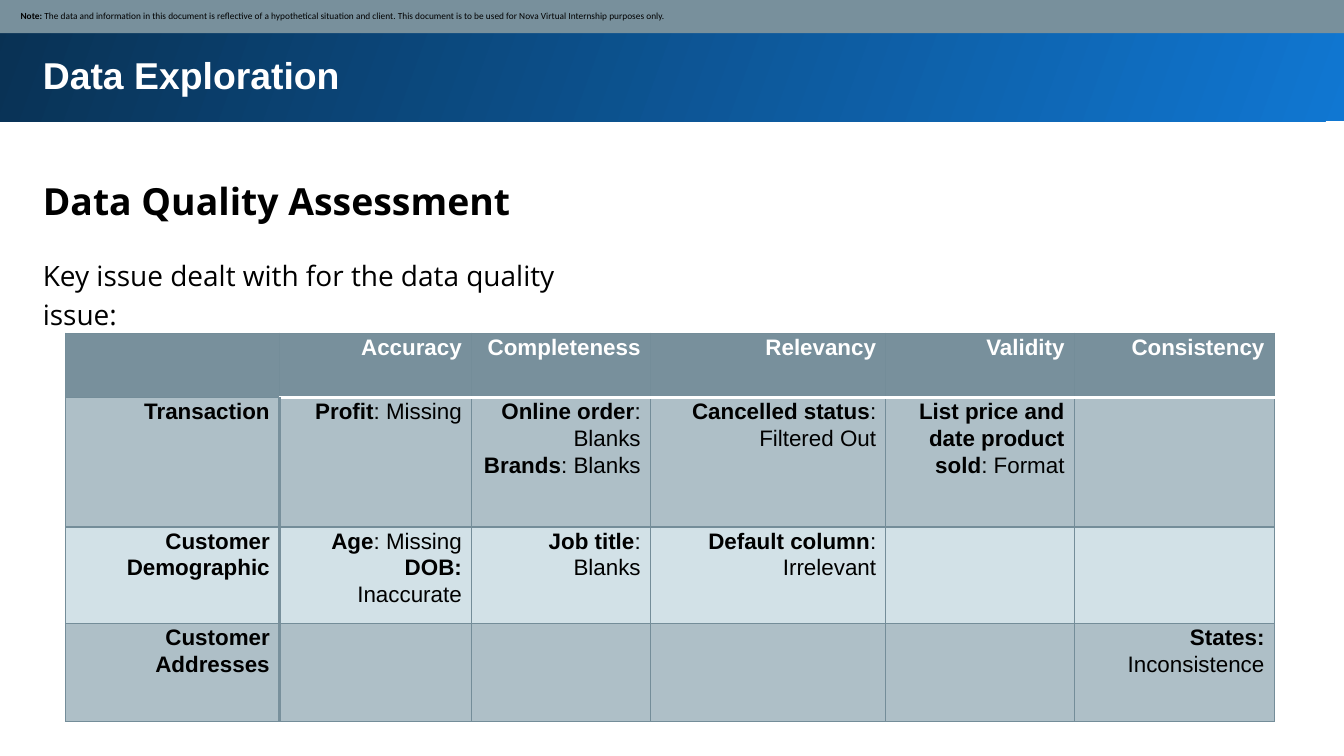
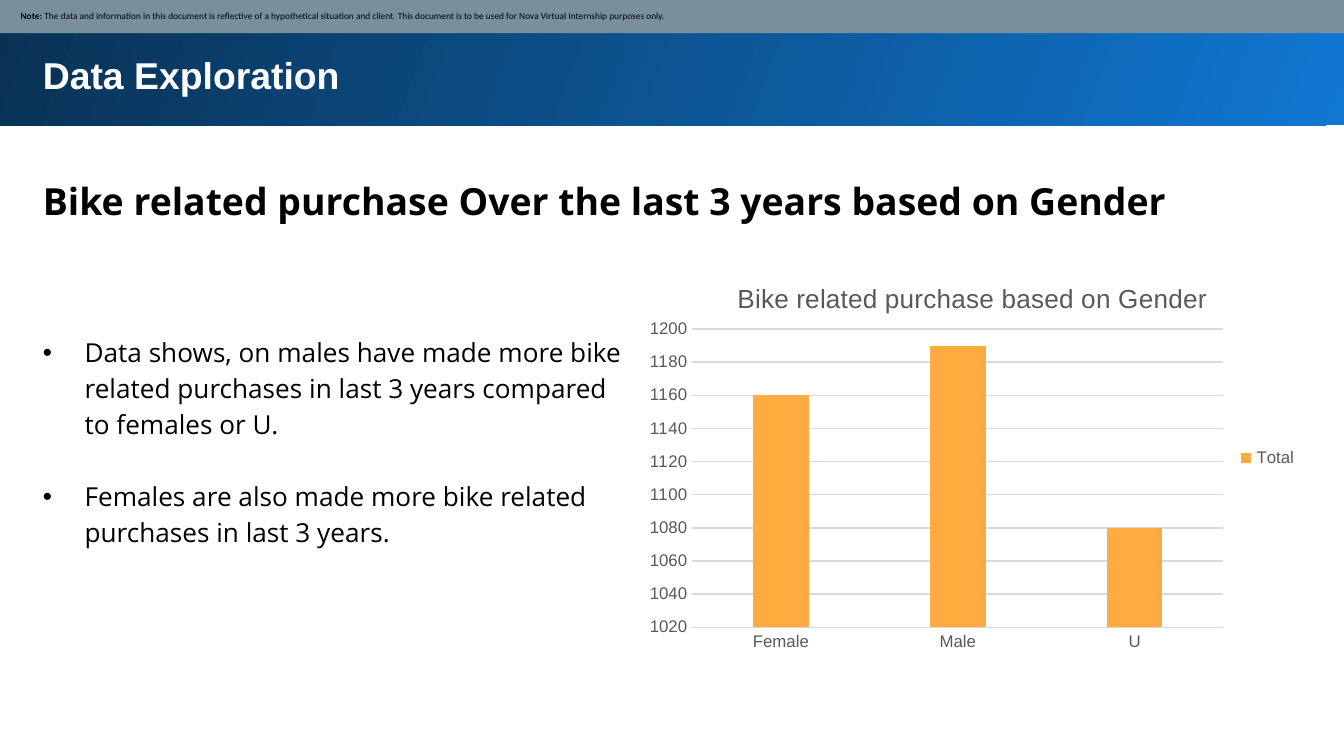
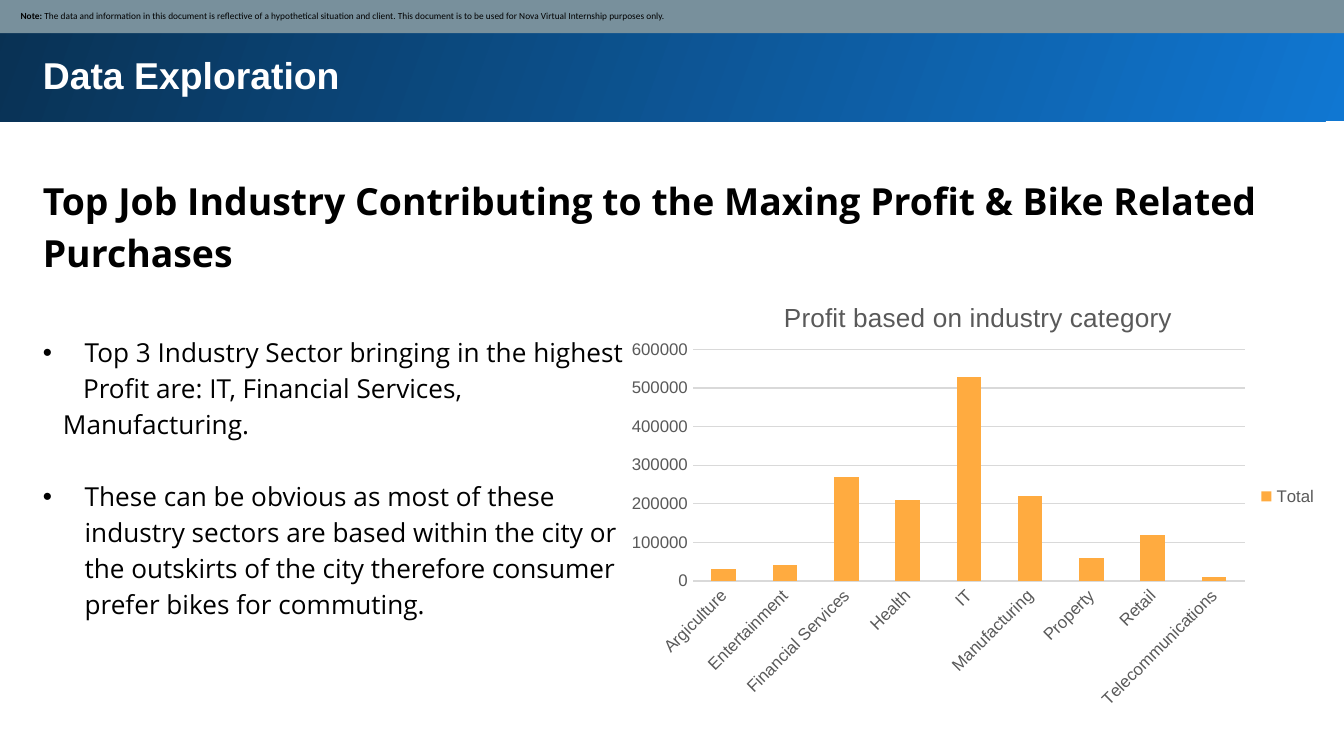
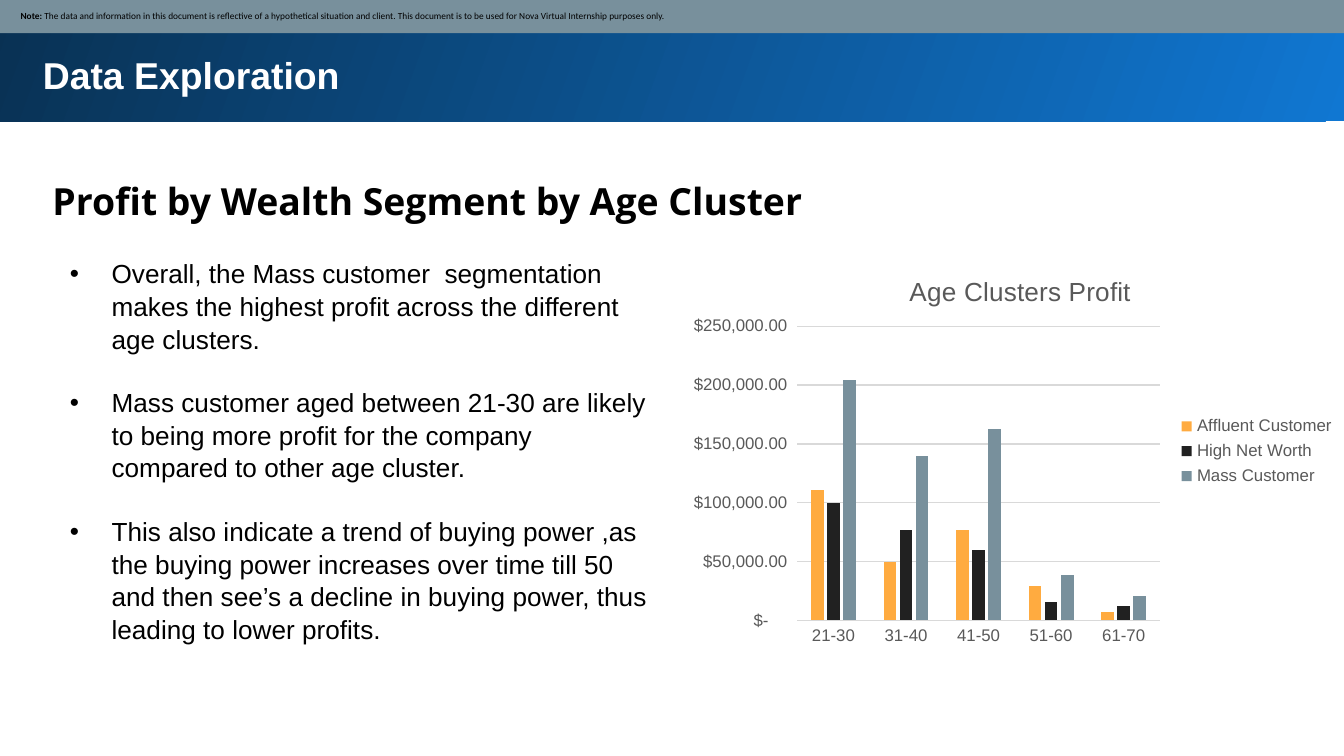
import dataclasses

import lxml.etree
import pptx
import pptx.chart.data
import pptx.dml.color
import pptx.enum.chart
import pptx.enum.shapes
import pptx.enum.text
import pptx.oxml
import pptx.oxml.ns
import pptx.util

Cm = pptx.util.Cm
Pt = pptx.util.Pt
qn = pptx.oxml.ns.qn


@dataclasses.dataclass(frozen=True)
class Theme:
    black: str = "000000"
    white: str = "FFFFFF"
    slate: str = "78909C"
    slate_line: str = "748D99"
    row_dark: str = "AEBFC7"
    row_light: str = "D2E1E7"
    band_start: str = "1077D2"
    band_end: str = "093153"
    orange: str = "FFAB40"
    charcoal: str = "212121"
    chart_text: str = "595959"
    chart_line: str = "D9D9D9"
    sans: str = "Arial"
    display: str = "Open Sans"
    small: str = "Calibri"
    title_size: float = 20
    intro_size: float = 15
    body_size: float = 14
    table_size: float = 12
    axis_size: float = 9
    note_size: float = 5


@dataclasses.dataclass(frozen=True)
class Box:
    """A rectangle in centimetres."""
    left: float
    top: float
    width: float
    height: float

    def lengths(self):
        return Cm(self.left), Cm(self.top), Cm(self.width), Cm(self.height)


THEME = Theme()
SLIDE = Box(0, 0, 25.4, 14.29)
BAND = Box(-0.05, -0.05, 25.53, 2.34)
NOTE = Box(-0.03, -0.03, 25.48, 0.66)
TITLE = Box(0.56, 0.74, 23.8, 1.3)
HEADING = Box(0.56, 3, 23.8, 1.42)
NOTE_TEXT = (
    "Note:| The data and information in this document is reflective of a hypothetical "
    "situation and client. This document is to be used for Nova Virtual Internship purposes only."
)
DOLLARS = r'_-[$$-409]* #,##0.00_ ;_-[$$-409]* \-#,##0.00\ ;_-[$$-409]* "-"??_ ;_-@_ '
PLAIN_NUMBER = "General"

ISSUE_COLUMNS = [4.04, 3.63, 3.38, 4.45, 3.56, 3.78]
ISSUE_ROWS = [1.22, 2.44, 1.83, 1.85]
ISSUES = [
    ["", "Accuracy", "Completeness", "Relevancy", "Validity", "Consistency"],
    ["Transaction", "Profit|: Missing", "Online order|:\n|Blanks\nBrands|: Blanks",
     "Cancelled status|: Filtered Out", "List price and date product sold|: Format", ""],
    ["Customer Demographic", "Age|: Missing\nDOB:\n|Inaccurate", "Job title|:\n|Blanks",
     "Default column|: Irrelevant", "", ""],
    ["Customer Addresses", "", "", "", "", "States:\n|Inconsistence"],
]


def rgb(color):
    return pptx.dml.color.RGBColor.from_string(color)


def style_font(font, size, color, name=THEME.sans, bold=False):
    font.size, font.name, font.bold = Pt(size), name, bold
    font.color.rgb = rgb(color)


def write_text(frame, lines, size=THEME.body_size, color=THEME.black, name=THEME.sans,
               bold=False, spacing=None, align=pptx.enum.text.PP_ALIGN.LEFT):
    """Write one paragraph a line; in a line, 'lead|rest' sets the lead in bold."""
    frame.word_wrap = True
    for index, line in enumerate(lines):
        paragraph = frame.add_paragraph() if index else frame.paragraphs[0]
        paragraph.alignment = align
        paragraph.line_spacing = spacing
        lead, bar, rest = line.partition("|")
        for text, is_bold in ((lead, bold or bool(bar)), (rest, False)):
            if text:
                run = paragraph.add_run()
                run.text = text
                style_font(run.font, size, color, name, is_bold)


def set_margins(target, horizontal, vertical):
    target.margin_left = target.margin_right = Cm(horizontal)
    target.margin_top = target.margin_bottom = Cm(vertical)


def add_text(slide, box, lines, margin=0.25, **text_format):
    frame = slide.shapes.add_textbox(*box.lengths()).text_frame
    set_margins(frame, margin, margin)
    write_text(frame, lines, **text_format)
    return frame


def indent(paragraph, left, first=0):
    properties = paragraph._p.get_or_add_pPr()
    properties.set("marL", str(Cm(left)))
    properties.set("indent", str(Cm(first)))
    return properties


def add_rectangle(slide, box):
    shape = slide.shapes.add_shape(pptx.enum.shapes.MSO_SHAPE.RECTANGLE, *box.lengths())
    shape.shadow.inherit = False
    shape.line.fill.background()
    return shape


def add_band(slide, box):
    fill = add_rectangle(slide, box).fill
    fill.gradient()
    fill.gradient_angle = 160
    for stop, color in zip(fill.gradient_stops, (THEME.band_start, THEME.band_end)):
        stop.color.rgb = rgb(color)


def add_note(slide, box):
    shape = add_rectangle(slide, box)
    shape.fill.solid()
    shape.fill.fore_color.rgb = rgb(THEME.slate)
    frame = shape.text_frame
    frame.vertical_anchor = pptx.enum.text.MSO_ANCHOR.MIDDLE
    set_margins(frame, 0.42, 0.13)
    write_text(frame, [NOTE_TEXT], size=THEME.note_size, name=THEME.small)


def add_exploration_slide(presentation, heading, band_shift=0, heading_indent=0):
    slide = presentation.slides.add_slide(presentation.slide_layouts[6])
    add_band(slide, dataclasses.replace(BAND, top=BAND.top + band_shift))
    add_text(slide, TITLE, ["Data Exploration"], size=THEME.title_size,
             color=THEME.white, bold=True)
    frame = add_text(slide, HEADING, [heading], size=THEME.title_size,
                     name=THEME.display, bold=True, spacing=1.15)
    indent(frame.paragraphs[0], heading_indent)
    add_note(slide, NOTE)
    return slide


def add_bullets(slide, box, lines, gap, continuations=(), **text_format):
    """Bullet the lines, except those whose index is a continuation of the one before."""
    frame = add_text(slide, box, lines, **text_format)
    for index, paragraph in enumerate(frame.paragraphs):
        if index in continuations:
            indent(paragraph, 0.38, 0.38)
            continue
        properties = indent(paragraph, 0.79, -0.79)
        if index:
            paragraph.space_before = Pt(gap)
        bullet_font = lxml.etree.SubElement(properties, qn("a:buFont"))
        bullet_font.set("typeface", THEME.sans)
        lxml.etree.SubElement(properties, qn("a:buChar")).set("char", "•")


def add_border(cell, side, color, width):
    line = lxml.etree.SubElement(cell._tc.get_or_add_tcPr(), qn("a:ln" + side))
    line.set("w", str(Pt(width)))
    fill = lxml.etree.SubElement(line, qn("a:solidFill"))
    lxml.etree.SubElement(fill, qn("a:srgbClr")).set("val", color)


def add_cell_borders(cell, row, column):
    thin = (THEME.slate_line, 0.75)
    label_edge = (THEME.slate, 2)
    header_edge = (THEME.white, 2)
    add_border(cell, "L", *(label_edge if row and column == 1 else thin))
    add_border(cell, "R", *(label_edge if row and column == 0 else thin))
    add_border(cell, "T", *(header_edge if row == 1 and column else thin))
    add_border(cell, "B", *(header_edge if row == 0 and column else thin))


def add_issue_table(slide, left, top):
    box = Box(left, top, sum(ISSUE_COLUMNS), sum(ISSUE_ROWS))
    table = slide.shapes.add_table(len(ISSUE_ROWS), len(ISSUE_COLUMNS), *box.lengths()).table
    table.first_row = table.horz_banding = False
    for column, width in zip(table.columns, ISSUE_COLUMNS):
        column.width = Cm(width)
    for row_index, (row, height) in enumerate(zip(table.rows, ISSUE_ROWS)):
        row.height = Cm(height)
        row_fill = (THEME.row_dark if row_index % 2 else THEME.row_light) if row_index else THEME.slate
        for column_index, cell in enumerate(row.cells):
            set_margins(cell, 0.18, 0)
            add_cell_borders(cell, row_index, column_index)
            cell.fill.solid()
            cell.fill.fore_color.rgb = rgb(row_fill)
            for line in ISSUES[row_index][column_index].split("\n"):
                is_first = not cell.text_frame.text
                if is_first:
                    write_text(cell.text_frame, ISSUES[row_index][column_index].split("\n"),
                               size=THEME.table_size, spacing=1.07,
                               color=THEME.black if row_index else THEME.white,
                               bold=True, align=pptx.enum.text.PP_ALIGN.RIGHT)


def set_layout(parent, position, **fractions):
    """Place a chart part by fractions of the chart's width and height."""
    for layout in parent.findall(qn("c:layout")):
        parent.remove(layout)
    layout = pptx.oxml.parse_xml(
        '<c:layout xmlns:c="http://schemas.openxmlformats.org/drawingml/2006/chart"/>')
    manual = lxml.etree.SubElement(layout, qn("c:manualLayout"))
    if "w" in fractions:
        lxml.etree.SubElement(manual, qn("c:layoutTarget")).set("val", "inner")
    for axis in "xy":
        lxml.etree.SubElement(manual, qn(f"c:{axis}Mode")).set("val", "edge")
    for key, value in fractions.items():
        lxml.etree.SubElement(manual, qn("c:" + key)).set("val", str(value))
    parent.insert(position, layout)


def style_axes(chart, scale, number_format, label_rotation):
    for axis in (chart.category_axis, chart.value_axis):
        axis.major_tick_mark = axis.minor_tick_mark = pptx.enum.chart.XL_TICK_MARK.NONE
        style_font(axis.tick_labels.font, THEME.axis_size, THEME.chart_text)
    values = chart.value_axis
    values.minimum_scale, values.maximum_scale, values.major_unit = scale
    values.tick_labels.number_format = number_format
    values.tick_labels.number_format_is_linked = False
    values.format.line.fill.background()
    values.has_major_gridlines = True
    for line in (chart.category_axis.format.line, values.major_gridlines.format.line):
        line.color.rgb = rgb(THEME.chart_line)
        line.width = Pt(0.75)
    if label_rotation:
        body = chart.element.xpath(".//c:catAx/c:txPr/a:bodyPr")[0]
        body.set("rot", str(label_rotation * 60000))


def add_column_chart(slide, box, title, title_left, plot_area, categories, series, scale,
                     gap=219, overlap=-27, number_format=PLAIN_NUMBER, label_rotation=0):
    """Add clustered columns; series holds (name, colour, values) and scale (low, high, step)."""
    data = pptx.chart.data.CategoryChartData(number_format=number_format)
    data.categories = categories
    for name, _, values in series:
        data.add_series(name, values)
    chart = slide.shapes.add_chart(
        pptx.enum.chart.XL_CHART_TYPE.COLUMN_CLUSTERED, *box.lengths(), data).chart
    style_font(chart.font, 10, THEME.black)

    write_text(chart.chart_title.text_frame, [title], color=THEME.chart_text,
               align=pptx.enum.text.PP_ALIGN.CENTER)
    set_layout(chart.element.xpath("c:chart/c:title")[0], 1, x=title_left, y=0.05)
    set_layout(chart.element.xpath("c:chart/c:plotArea")[0], 0, **plot_area)

    chart.has_legend = True
    chart.legend.position = pptx.enum.chart.XL_LEGEND_POSITION.RIGHT
    chart.legend.include_in_layout = False
    style_font(chart.legend.font, THEME.axis_size, THEME.chart_text)

    plot = chart.plots[0]
    plot.vary_by_categories = False
    plot.gap_width, plot.overlap = gap, overlap
    for drawn, (_, color, _) in zip(plot.series, series):
        drawn.format.fill.solid()
        drawn.format.fill.fore_color.rgb = rgb(color)
    style_axes(chart, scale, number_format, label_rotation)


def build_quality_slide(presentation):
    slide = add_exploration_slide(presentation, "Data Quality Assessment")
    add_text(slide, Box(0.56, 4.55, 11.48, 1.22),
             ["Key issue dealt with for the data quality issue:"],
             size=THEME.intro_size, name=THEME.display, spacing=1.15)
    add_issue_table(slide, 1.24, 6.3)


def build_gender_slide(presentation):
    slide = add_exploration_slide(
        presentation, "Bike related purchase Over the last 3 years based on Gender",
        band_shift=0.08)
    add_bullets(slide, Box(0.56, 6.02, 11.48, 4.65), [
        "Data shows, on males have made more bike related purchases in last 3 years "
        "compared to females or U.",
        "Females are also made more bike related purchases in last 3 years.",
    ], gap=19.3, name=THEME.display, spacing=1.15)
    add_column_chart(
        slide, Box(12.07, 4.85, 12.7, 7.62), "Bike related purchase based on Gender",
        title_left=0.14, plot_area=dict(x=0.08, y=0.18, w=0.79, h=0.74),
        categories=["Female", "Male", "U"],
        series=[("Total", THEME.orange, [1160, 1190, 1080])], scale=(1020, 1200, 20))


def build_industry_slide(presentation):
    slide = add_exploration_slide(
        presentation,
        "Top Job Industry Contributing to the Maxing Profit & Bike Related Purchases")
    add_bullets(slide, Box(0.56, 6.02, 11.48, 6.71), [
        "Top 3 Industry Sector bringing in the highest",
        "Profit are: IT, Financial Services, Manufacturing.",
        "These can be obvious as most of these industry sectors are based within the city "
        "or the outskirts of the city therefore consumer prefer bikes for commuting.",
    ], gap=19.3, continuations=(1,), name=THEME.display, spacing=1.15)
    add_column_chart(
        slide, Box(11.61, 5.18, 13.54, 8.41), "Profit based on industry category",
        title_left=0.23, plot_area=dict(x=0.11, y=0.17, w=0.77, h=0.52),
        categories=["Argiculture", "Entertainment", "Financial Services", "Health", "IT",
                    "Manufacturing", "Property", "Retail", "Telecommunications"],
        series=[("Total", THEME.orange, [30000, 40000, 270000, 210000, 530000,
                                         220000, 60000, 120000, 10000])],
        scale=(0, 600000, 100000), gap=150, overlap=0, label_rotation=-45)


def build_age_slide(presentation):
    slide = add_exploration_slide(
        presentation, "Profit by Wealth Segment by Age Cluster", heading_indent=0.18)
    add_column_chart(
        slide, Box(12.78, 4.72, 12.7, 7.62), "Age Clusters Profit",
        title_left=0.34, plot_area=dict(x=0.18, y=0.19, w=0.54, h=0.73),
        categories=["21-30", "31-40", "41-50", "51-60", "61-70"],
        series=[
            ("Affluent Customer", THEME.orange, [111000, 50000, 77000, 29000, 7000]),
            ("High Net Worth", THEME.charcoal, [100000, 77000, 60000, 16000, 12000]),
            ("Mass Customer", THEME.slate, [204000, 140000, 163000, 39000, 21000]),
        ], scale=(0, 250000, 50000), number_format=DOLLARS)
    add_bullets(slide, Box(1.19, 4.72, 11.23, 7.44), [
        "Overall, the Mass customer  segmentation makes the highest profit across the "
        "different age clusters.",
        "Mass customer aged between 21-30 are likely to being more profit for the company "
        "compared to other age cluster.",
        "This also indicate a trend of buying power ,as the buying power increases over time "
        "till 50 and then see’s a decline in buying power, thus leading to lower profits.",
    ], gap=16.7, margin=0.13, spacing=1.04)


def main():
    presentation = pptx.Presentation()
    presentation.slide_width, presentation.slide_height = Cm(SLIDE.width), Cm(SLIDE.height)
    for build in (build_quality_slide, build_gender_slide, build_industry_slide, build_age_slide):
        build(presentation)
    presentation.save("out.pptx")


if __name__ == "__main__":
    main()
